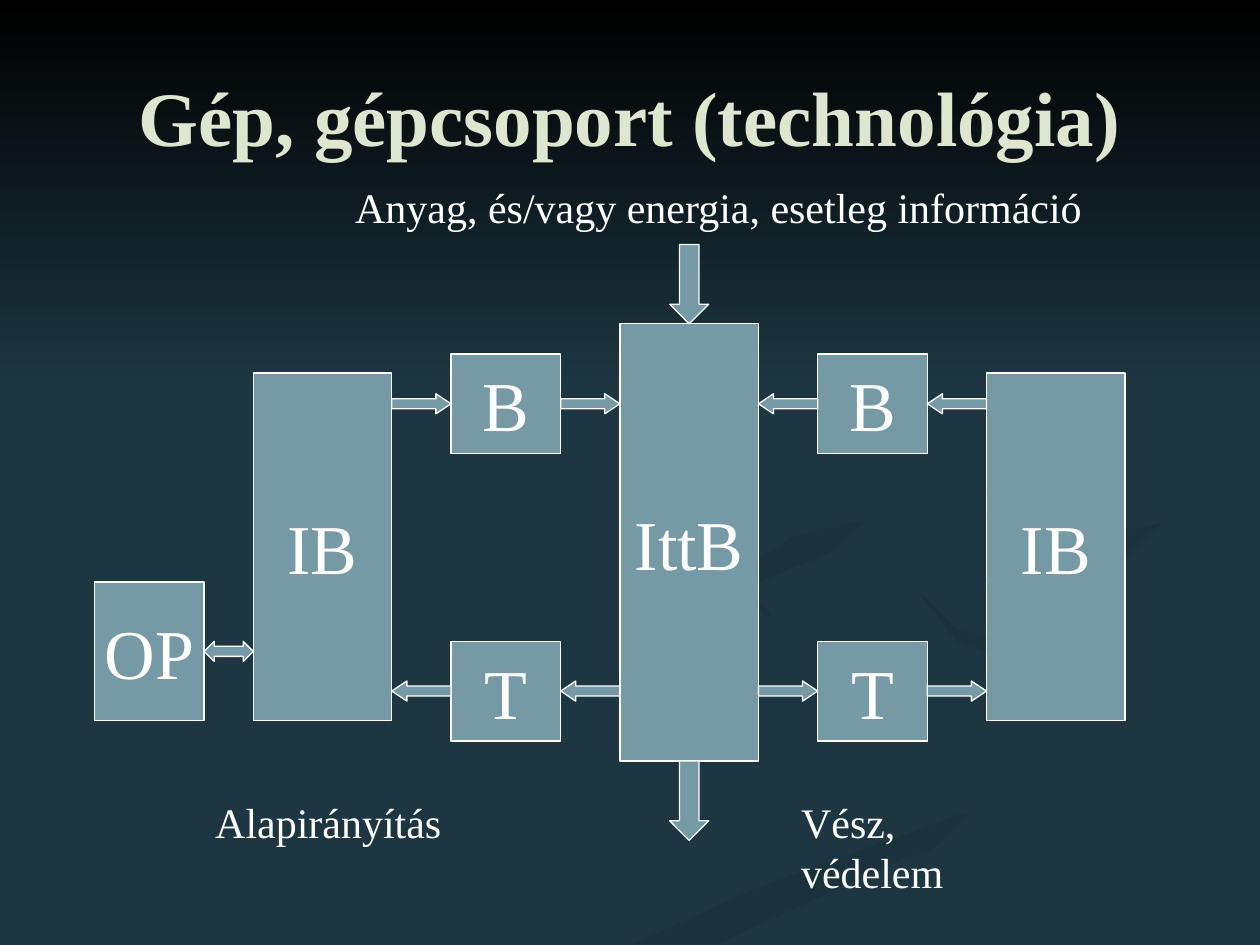
import collections

import pptx
import pptx.dml.color
import pptx.enum.shapes
import pptx.enum.text
import pptx.util

Inches = pptx.util.Inches
RGBColor = pptx.dml.color.RGBColor
SHAPE = pptx.enum.shapes.MSO_SHAPE
ALIGN = pptx.enum.text.PP_ALIGN
ANCHOR = pptx.enum.text.MSO_ANCHOR
Box = collections.namedtuple("Box", "left top width height")

BLACK = RGBColor(0x00, 0x00, 0x00)
NIGHT = RGBColor(0x1D, 0x36, 0x41)
SHADE = RGBColor(0x1B, 0x32, 0x3C)
STEEL = RGBColor(0x75, 0x9A, 0xA5)
CREAM = RGBColor(0xDF, 0xE6, 0xD0)
WHITE = RGBColor(0xFF, 0xFF, 0xFF)
FONT = "Times New Roman"

RIBBONS = [
    [(9.4, 5.7), (8.9, 5.35), (7.6, 5), (7.25, 4.65), (7.6, 5.1), (8.8, 5.5), (9.15, 5.8), (8.95, 6.05)],
    [(5.03, 7.49), (5.7, 7.49), (7.2, 6.8), (9.98, 6.1), (9.98, 5.8), (7.6, 6.47), (6, 7.05)],
    [(7.8, 4.6), (8.25, 4.95), (8.1, 4.65), (9.98, 4.2), (9.98, 4), (8.2, 4.35)],
    [(6.8, 4.3), (8.4, 3.95), (8.9, 3.4), (8.5, 2.8), (7.6, 2.33), (8.6, 2.9), (8.85, 3.5),
     (8.2, 3.85), (6.3, 4.25), (5.77, 4.6), (6.2, 5), (5.95, 4.65)],
]


def place(box):
    return [Inches(length) for length in box]


def add_run(para, text, size, colour, bold=False):
    span = para.add_run()
    span.text = text
    span.font.name = FONT
    span.font.size = pptx.util.Pt(size)
    span.font.bold = bold
    span.font.color.rgb = colour


def shade(shape, colour, angle):
    shape.shadow.inherit = False
    shape.line.fill.background()
    shape.fill.gradient()
    shape.fill.gradient_angle = angle
    for stop, tone in zip(shape.fill.gradient_stops, (colour, NIGHT)):
        stop.color.rgb = tone


def add_backdrop(page, sky):
    page.background.fill.solid()
    page.background.fill.fore_color.rgb = NIGHT
    for points in RIBBONS:
        corners = [(Inches(x), Inches(y)) for x, y in points]
        builder = page.shapes.build_freeform(*corners[0])
        builder.add_line_segments(corners[1:], close=True)
        shade(builder.convert_to_shape(), SHADE, 315)
    shade(page.shapes.add_shape(SHAPE.RECTANGLE, *place(sky)), BLACK, 270)


def add_title(page, box, text):
    title = page.shapes.title
    title.left, title.top, title.width, title.height = place(box)
    title.text_frame.vertical_anchor = ANCHOR.MIDDLE
    para = title.text_frame.paragraphs[0]
    para.alignment = ALIGN.CENTER
    add_run(para, text, 44, CREAM, bold=True)
    title.element.getparent().append(title.element)


def add_steel(page, kind, box):
    shape = page.shapes.add_shape(kind, *place(box))
    shape.shadow.inherit = False
    shape.fill.solid()
    shape.fill.fore_color.rgb = STEEL
    shape.line.color.rgb = WHITE
    shape.line.width = pptx.util.Pt(0.75)
    return shape


def add_block(page, box, text):
    frame = add_steel(page, SHAPE.RECTANGLE, box).text_frame
    frame.word_wrap = False
    frame.vertical_anchor = ANCHOR.MIDDLE
    para = frame.paragraphs[0]
    para.alignment = ALIGN.CENTER
    add_run(para, text, 40, WHITE)


def add_arrow(page, kind, box, head=0.75):
    arrow = add_steel(page, kind, box)
    arrow.adjustments[0] = 0.5
    arrow.adjustments[1] = head


def add_caption(page, box, text):
    frame = page.shapes.add_textbox(*place(box)).text_frame
    frame.word_wrap = True
    add_run(frame.paragraphs[0], text, 24, WHITE)


def add_process(page, box):
    arrow_width, arrow_height = 0.31, 0.63
    arrow_left = box.left + (box.width - arrow_width) / 2
    add_block(page, box, "IttB")
    for top in (box.top - arrow_height, box.top + box.height):
        add_arrow(page, SHAPE.DOWN_ARROW, Box(arrow_left, top, arrow_width, arrow_height), 0.5)


def add_control_loop(page, box, mirrored=False):
    def inside(offset, top, width, height):
        left = box.width - offset - width if mirrored else offset
        return Box(box.left + left, box.top + top, width, height)

    block_height, arrow_height = 0.79, 0.16
    inward, outward = SHAPE.RIGHT_ARROW, SHAPE.LEFT_ARROW
    if mirrored:
        inward, outward = outward, inward
    add_block(page, inside(0, 0.15, 1.1, box.height - 0.31), "IB")
    rows = [("B", 0, inward), ("T", box.height - block_height, outward)]
    for text, top, direction in rows:
        add_block(page, inside(1.57, top, 0.87, block_height), text)
        for offset in (1.1, 2.44):
            arrow_top = top + (block_height - arrow_height) / 2
            add_arrow(page, direction, inside(offset, arrow_top, 0.47, arrow_height))


def add_operator(page, box):
    add_block(page, box, "OP")
    link = Box(box.left + box.width, box.top + 0.47, 0.39, 0.16)
    add_arrow(page, SHAPE.LEFT_RIGHT_ARROW, link, 0.5)


def main():
    deck = pptx.Presentation()
    deck.slide_width, deck.slide_height = Inches(10), Inches(7.5)
    page = deck.slides.add_slide(deck.slide_layouts[5])
    add_backdrop(page, Box(0, 0, 10, 3.08))
    add_title(page, Box(0.5, 0.3, 9, 1.24), "Gép, gépcsoport (technológia)")
    add_process(page, Box(4.92, 2.57, 1.1, 3.47))
    add_control_loop(page, Box(2.01, 2.81, 2.91, 3.07))
    add_control_loop(page, Box(6.02, 2.81, 2.91, 3.07), mirrored=True)
    add_operator(page, Box(0.75, 4.62, 0.87, 1.1))
    add_caption(page, Box(2.72, 1.39, 5.98, 0.5), "Anyag, és/vagy energia, esetleg információ")
    add_caption(page, Box(1.61, 6.27, 3.47, 0.5), "Alapirányítás")
    add_caption(page, Box(6.26, 6.27, 2.13, 0.5), "Vész, védelem")
    deck.save("out.pptx")


if __name__ == "__main__":
    main()
